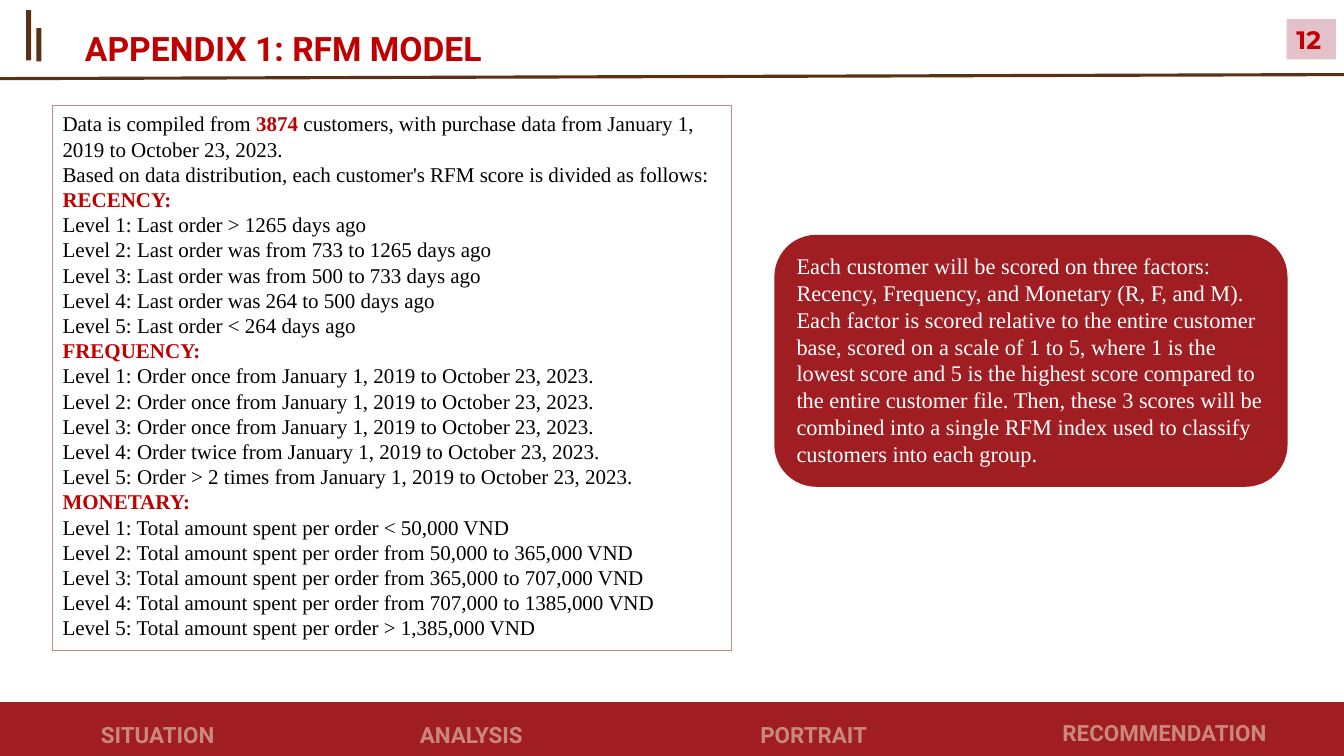
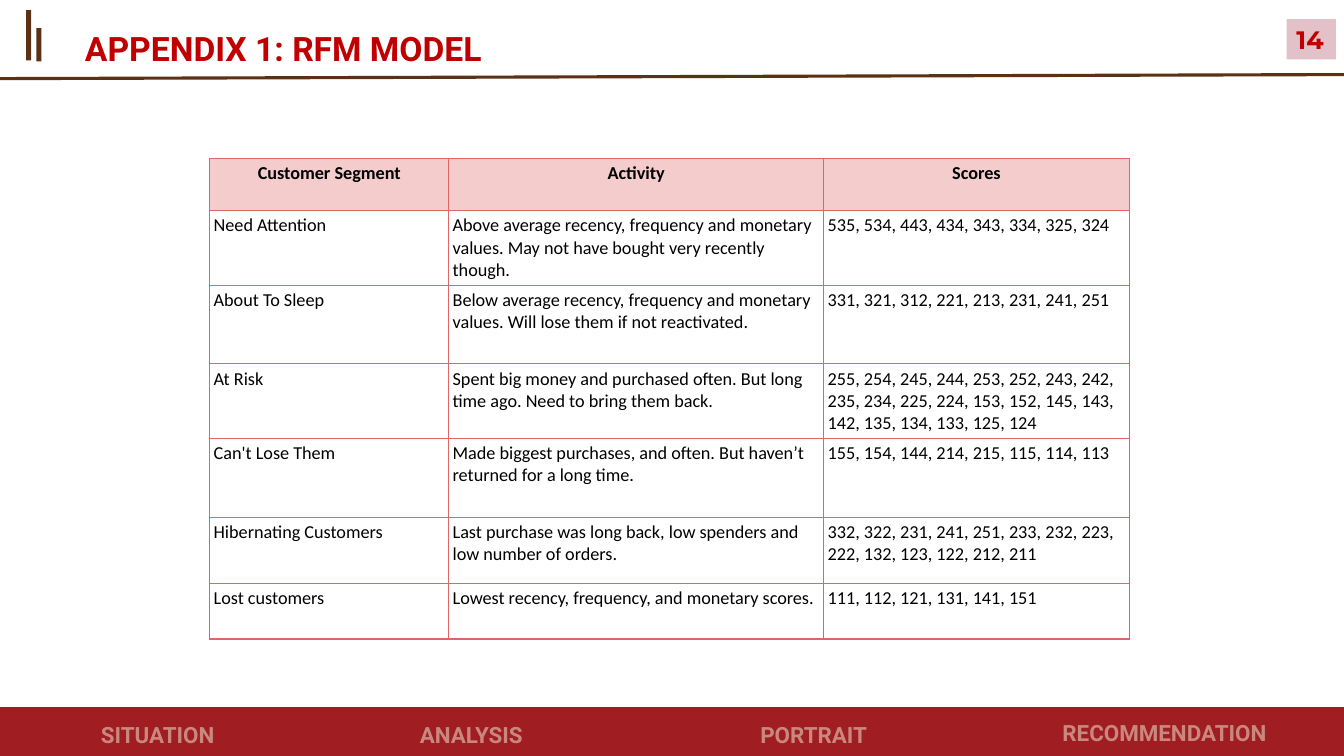
from dataclasses import dataclass

from lxml import etree
from pptx import Presentation
from pptx.dml.color import RGBColor
from pptx.enum.shapes import MSO_CONNECTOR, MSO_SHAPE
from pptx.enum.text import MSO_ANCHOR, MSO_AUTO_SIZE, PP_ALIGN
from pptx.oxml.ns import qn
from pptx.util import Inches, Pt

RECT, ROUNDED = MSO_SHAPE.RECTANGLE, MSO_SHAPE.ROUNDED_RECTANGLE
LEFT, CENTER = PP_ALIGN.LEFT, PP_ALIGN.CENTER
TOP, FIXED = MSO_ANCHOR.TOP, MSO_AUTO_SIZE.NONE
STRAIGHT = MSO_CONNECTOR.STRAIGHT
WIDTH, HEIGHT = 13.33, 7.5
TITLE_AND_BODY, TITLE_ONLY = 1, 5


@dataclass(frozen=True)
class Theme:
    red: str = "C00000"
    band: str = "A01D22"
    brown: str = "5A3114"
    rose: str = "CA877E"
    badge: str = "E2C1C8"
    header: str = "F4CCCC"
    grid: str = "E06666"
    black: str = "000000"
    white: str = "FFFFFF"


THEME = Theme()
# Text styles: font attributes, with the colour kept apart
STYLES = {
    "title": ({"name": "Roboto", "size": Pt(24), "bold": True}, THEME.red),
    "nav": ({"name": "Roboto", "size": Pt(16), "bold": True}, THEME.rose),
    "number": ({"name": "Montserrat", "size": Pt(18), "bold": True}, THEME.red),
    "list": ({"name": "Times New Roman", "size": Pt(15), "bold": False}, THEME.black),
    "strong": ({"name": "Times New Roman", "size": Pt(15), "bold": True}, THEME.red),
    "callout": ({"name": "Times New Roman", "size": Pt(16), "bold": False}, THEME.white),
    "head": ({"name": "Calibri", "size": Pt(13), "bold": True}, THEME.black),
    "cell": ({"name": "Calibri", "size": Pt(13), "bold": False}, THEME.black),
}

# Content
TITLE = "APPENDIX 1: RFM MODEL"
SECTIONS = [  # label, left, top, width
    ("SITUATION", 0.11, 7.08, 2.91),
    ("ANALYSIS", 3.22, 7.08, 2.91),
    ("PORTRAIT", 6.18, 7.08, 3.78),
    ("RECOMMENDATION", 10.02, 7.06, 3.06),
]
ACCENT_BARS = [(0.26, 0.1, 0.05, 0.5), (0.36, 0.28, 0.05, 0.33)]
INTRO = [
    [("Data is compiled from ", "list"), ("3874 ", "strong"),
     ("customers, with purchase data from January 1, 2019 to October 23, 2023.", "list")],
    [("Based on data distribution, each customer's RFM score is divided as follows:", "list")],
]
PERIOD = "from January 1, 2019 to October 23, 2023."
SPENT = "Total amount spent per order"
LEVELS = {
    "RECENCY:": [
        "Last order > 1265 days ago",
        "Last order was from 733 to 1265 days ago",
        "Last order was from 500 to 733 days ago",
        "Last order was 264 to 500 days ago",
        "Last order < 264 days ago",
    ],
    "FREQUENCY:": [f"Order {times} {PERIOD}" for times in
                   ("once", "once", "once", "twice", "> 2 times")],
    "MONETARY:": [f"{SPENT} {amount} VND" for amount in
                  ("< 50,000", "from 50,000 to 365,000", "from 365,000 to 707,000",
                   "from 707,000 to 1385,000", "> 1,385,000")],
}
SCORING = (
    "Each customer will be scored on three factors: Recency, Frequency, and Monetary "
    "(R, F, and M). Each factor is scored relative to the entire customer base, scored on "
    "a scale of 1 to 5, where 1 is the lowest score and 5 is the highest score compared to "
    "the entire customer file. Then, these 3 scores will be combined into a single RFM "
    "index used to classify customers into each group."
)
SEGMENTS = [
    ("Customer Segment", "Activity", "Scores"),
    ("Need Attention",
     "Above average recency, frequency and monetary values. "
     "May not have bought very recently though.",
     "535, 534, 443, 434, 343, 334, 325, 324"),
    ("About To Sleep",
     "Below average recency, frequency and monetary values. "
     "Will lose them if not reactivated.",
     "331, 321, 312, 221, 213, 231, 241, 251"),
    ("At Risk",
     "Spent big money and purchased often. But long time ago. Need to bring them back.",
     "255, 254, 245, 244, 253, 252, 243, 242, 235, 234, 225, 224, 153, 152, 145, 143, "
     "142, 135, 134, 133, 125, 124"),
    ("Can't Lose Them",
     "Made biggest purchases, and often. But haven’t returned for a long time.",
     "155, 154, 144, 214, 215, 115, 114, 113"),
    ("Hibernating Customers",
     "Last purchase was long back, low spenders and low number of orders.",
     "332, 322, 231, 241, 251, 233, 232, 223, 222, 132, 123, 122, 212, 211"),
    ("Lost customers",
     "Lowest recency, frequency, and monetary scores.",
     "111, 112, 121, 131, 141, 151"),
]
COLUMN_WIDTHS = (2.37, 3.72, 3.03)
ROW_HEIGHTS = (0.52, 0.73, 0.78, 0.73, 0.78, 0.66, 0.55)


def rgb(color):
    return RGBColor.from_string(color)


def box(*lengths):
    return [Inches(length) for length in lengths]


def place(placeholder, *lengths):
    for side, length in zip(("left", "top", "width", "height"), box(*lengths)):
        setattr(placeholder, side, length)


def write(frame, paragraphs, align=LEFT, spacing=None, margins=None):
    """Fill a text frame with paragraphs, each a list of (text, style)."""
    frame.word_wrap, frame.auto_size, frame.vertical_anchor = True, FIXED, TOP
    if margins is not None:
        for side in ("left", "top", "right", "bottom"):
            setattr(frame, f"margin_{side}", Inches(margins))
    for index, runs in enumerate(paragraphs):
        paragraph = frame.add_paragraph() if index else frame.paragraphs[0]
        paragraph.alignment, paragraph.space_before = align, Pt(0)
        if spacing:
            paragraph.line_spacing = spacing
        for text, style in runs:
            run = paragraph.add_run()
            run.text = text
            attributes, color = STYLES[style]
            for name, value in attributes.items():
                setattr(run.font, name, value)
            run.font.color.rgb = rgb(color)


def add_block(slide, preset, lengths, fill):
    block = slide.shapes.add_shape(preset, *box(*lengths))
    block.shadow.inherit = False
    block.fill.solid()
    block.fill.fore_color.rgb = rgb(fill)
    block.line.fill.background()
    return block


def add_framed_slide(deck, layout, number, band_height):
    """Add a slide with the title, header rule, page number and footer."""
    slide = deck.slides.add_slide(deck.slide_layouts[layout])
    place(slide.shapes.title, 0.36, 0.21, 4.9, 0.43)
    write(slide.shapes.title.text_frame, [[(TITLE, "title")]], CENTER, Pt(33.5), 0)

    # Header
    rule = slide.shapes.add_connector(STRAIGHT, *box(0, 0.78, WIDTH, 0.74))
    rule.line.color.rgb, rule.line.width = rgb(THEME.brown), Pt(2.25)
    etree.SubElement(rule._element.spPr, qn("a:effectLst"))
    for bar in ACCENT_BARS:
        add_block(slide, RECT, bar, THEME.brown)
    badge = add_block(slide, RECT, (12.76, 0.19, 0.49, 0.4), THEME.badge)
    write(badge.text_frame, [[(str(number), "number")]])

    # Footer
    band = (0, HEIGHT - band_height, WIDTH, band_height)
    footer = add_block(slide, RECT, band, THEME.band)
    footer.line.color.rgb, footer.line.width = rgb(THEME.band), Pt(1)
    for label, left, top, width in SECTIONS:
        section = slide.shapes.add_textbox(*box(left, top, width, 0.34))
        write(section.text_frame, [[(label, "nav")]], CENTER, 1.28, 0)
    return slide


def build_scoring(deck):
    slide = add_framed_slide(deck, TITLE_AND_BODY, 12, 0.53)

    # Scoring levels
    lines = list(INTRO)
    for factor, levels in LEVELS.items():
        lines.append([(factor, "strong")])
        lines += [[(f"Level {n}: {level}", "list")] for n, level in enumerate(levels, 1)]
    criteria = slide.placeholders[1]
    place(criteria, 0.52, 1.05, 6.74, 5.4)
    criteria.line.color.rgb, criteria.line.width = rgb(THEME.rose), Pt(0.75)
    write(criteria.text_frame, lines)
    for paragraph in criteria.text_frame.paragraphs:
        properties = paragraph._p.get_or_add_pPr()
        properties.set("marL", "0")
        properties.set("indent", "0")
        etree.SubElement(properties, qn("a:buNone"))

    # Explanation
    callout = add_block(slide, ROUNDED, (7.68, 2.33, 5.09, 2.5), THEME.band)
    write(callout.text_frame, [[(SCORING, "callout")]])


def set_borders(cell, color, points):
    properties = cell._tc.get_or_add_tcPr()
    for index, edge in enumerate(("a:lnL", "a:lnR", "a:lnT", "a:lnB")):
        border = etree.Element(qn(edge), w=str(Pt(points)))
        fill = etree.SubElement(border, qn("a:solidFill"))
        etree.SubElement(fill, qn("a:srgbClr"), val=color)
        properties.insert(index, border)


def build_segments(deck):
    slide = add_framed_slide(deck, TITLE_ONLY, 14, 0.48)

    # Segment table
    size = box(2.08, 1.57, sum(COLUMN_WIDTHS), sum(ROW_HEIGHTS))
    table = slide.shapes.add_table(len(ROW_HEIGHTS), len(COLUMN_WIDTHS), *size).table
    table.first_row = table.horz_banding = False
    for column, width in zip(table.columns, COLUMN_WIDTHS):
        column.width = Inches(width)
    for row, height, texts in zip(table.rows, ROW_HEIGHTS, SEGMENTS):
        row.height = Inches(height)
        is_header = texts is SEGMENTS[0]
        for cell, text in zip(row.cells, texts):
            for side in ("left", "top", "right", "bottom"):
                setattr(cell, f"margin_{side}", Inches(0.04))
            if is_header:
                cell.fill.solid()
                cell.fill.fore_color.rgb = rgb(THEME.header)
            else:
                cell.fill.background()
            set_borders(cell, THEME.grid, 1)
            style, align = ("head", CENTER) if is_header else ("cell", LEFT)
            paragraph = cell.text_frame.paragraphs[0]
            paragraph.alignment = align
            run = paragraph.add_run()
            run.text = text
            attributes, color = STYLES[style]
            for name, value in attributes.items():
                setattr(run.font, name, value)
            run.font.color.rgb = rgb(color)


def main():
    deck = Presentation()
    deck.slide_width, deck.slide_height = box(WIDTH, HEIGHT)
    build_scoring(deck)
    build_segments(deck)
    deck.save("out.pptx")


if __name__ == "__main__":
    main()
